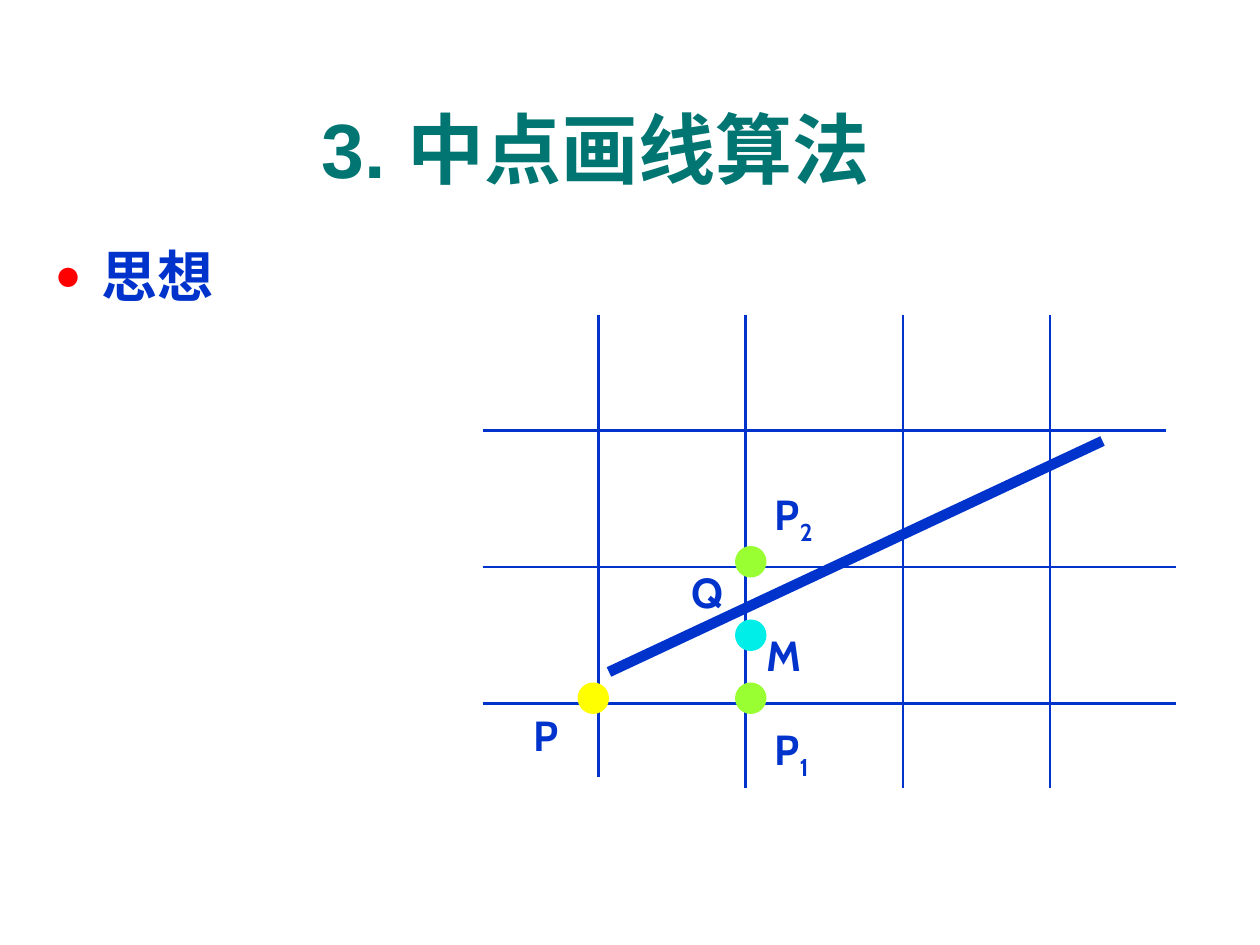
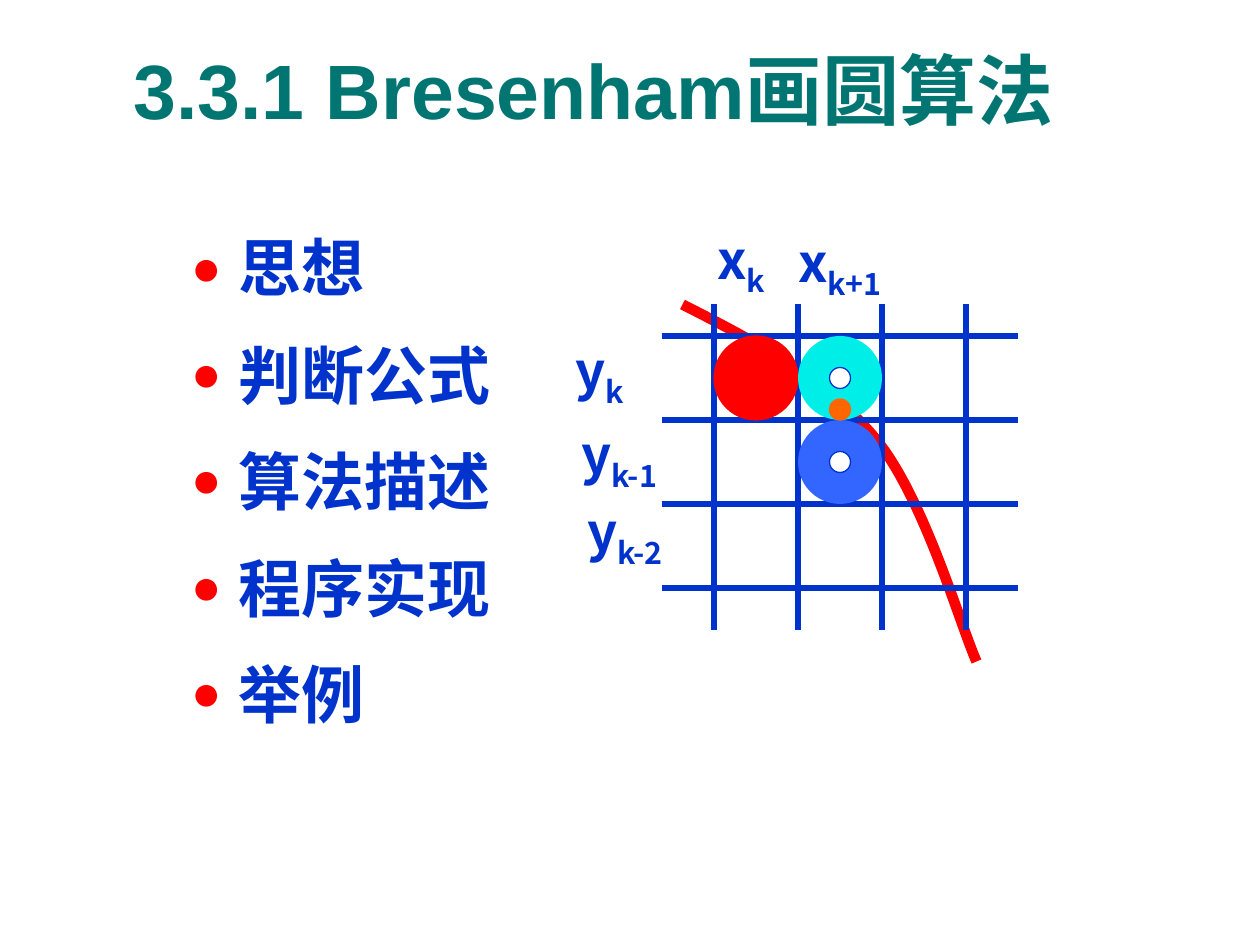
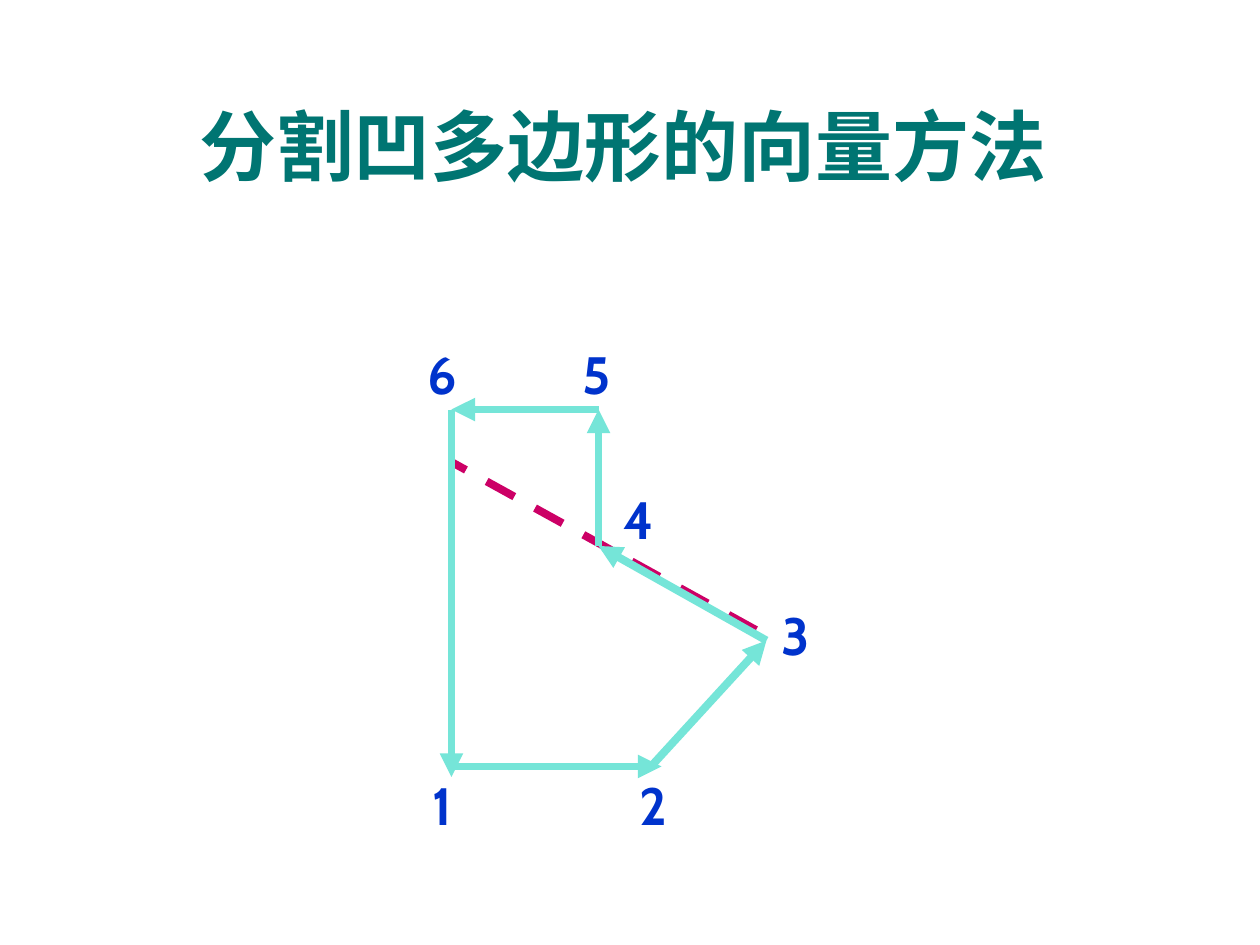
import lxml.etree
import pptx
import pptx.dml.color
import pptx.enum.dml
import pptx.enum.shapes
import pptx.enum.text
import pptx.oxml
import pptx.oxml.ns
import pptx.util

COLORS = {
    "title": "007572", "ink": "0033CC", "bullet": "FF0000", "red": "FF0000",
    "yellow": "FFFF00", "lime": "99FF33", "cyan": "00EEE8", "blue": "3366FF",
    "white": "FFFFFF", "orange": "FF6600", "magenta": "CC0066", "aqua": "75E5D8",
}
COLUMNS, ROWS = 120, 90
TITLE_ONLY, TITLE_AND_BODY = 5, 1
INDENT = pptx.util.Inches(0.375)


def rgb(name):
    return pptx.dml.color.RGBColor.from_string(COLORS[name])


def add_xml(parent, tag, **attributes):
    name = pptx.oxml.ns.qn(tag)
    return lxml.etree.SubElement(parent, name, attributes)


class Builder:
    """Draws on the current slide; every length is in grid columns or rows."""

    def __init__(self):
        self.deck = pptx.Presentation()
        self.deck.slide_width = pptx.util.Inches(10)
        self.deck.slide_height = pptx.util.Inches(7.5)
        self.cell = self.deck.slide_width / COLUMNS
        self.slide = None

    def grid(self, *lengths):
        return [round(length * self.cell) for length in lengths]

    def place(self, shape, area):
        shape.left, shape.top, shape.width, shape.height = self.grid(*area)

    def style(self, para, size, color, font):
        para.font.size = pptx.util.Pt(size)
        para.font.bold = True
        para.font.name = font
        para.font.color.rgb = rgb(color)

    def outline(self, line, color, width):
        line.color.rgb = rgb(color)
        line.width = pptx.util.Pt(width)

    def page(self, layout, title, area, align=pptx.enum.text.PP_ALIGN.CENTER):
        self.slide = self.deck.slides.add_slide(self.deck.slide_layouts[layout])
        box = self.slide.shapes.title
        self.place(box, area)
        frame = box.text_frame
        frame.text = title
        frame.auto_size = pptx.enum.text.MSO_AUTO_SIZE.NONE
        frame.vertical_anchor = pptx.enum.text.MSO_ANCHOR.MIDDLE
        para = frame.paragraphs[0]
        para.alignment = align
        self.style(para, 44, "title", "Arial")

    def bullets(self, items, area, size, gap):
        """Fill the body from (text, line spacing, font) items."""
        box = self.slide.placeholders[1]
        self.place(box, area)
        frame = box.text_frame
        frame.auto_size = pptx.enum.text.MSO_AUTO_SIZE.NONE
        frame.text = "\n".join(text for text, _, _ in items)
        for index, (para, item) in enumerate(zip(frame.paragraphs, items)):
            _, spacing, font = item
            properties = para._p.get_or_add_pPr()
            properties.set("marL", str(INDENT))
            properties.set("indent", str(-INDENT))
            bullet_color = add_xml(properties, "a:buClr")
            add_xml(bullet_color, "a:srgbClr", val=COLORS["bullet"])
            add_xml(properties, "a:buSzPct", val="80000")
            add_xml(properties, "a:buChar", char="●")
            para.line_spacing = spacing
            para.space_before = pptx.util.Pt(gap if index else 0)
            self.style(para, size, "ink", font)

    def line(self, start, end, color="ink", width=1.5, arrow=False, dashed=False):
        line = self.slide.shapes.add_connector(
            pptx.enum.shapes.MSO_CONNECTOR.STRAIGHT, *self.grid(*start, *end))
        self.outline(line.line, color, width)
        if dashed:
            line.line.dash_style = pptx.enum.dml.MSO_LINE.DASH
        if arrow:
            add_xml(line.line._get_or_add_ln(), "a:tailEnd", type="triangle")
        add_xml(line._element.spPr, "a:effectLst")

    def circle(self, center, diameter, fill, edge=None):
        column, row = center
        corner = column - diameter / 2, row - diameter / 2
        disc = self.slide.shapes.add_shape(
            pptx.enum.shapes.MSO_SHAPE.OVAL, *self.grid(*corner, diameter, diameter))
        disc.shadow.inherit = False
        disc.fill.solid()
        disc.fill.fore_color.rgb = rgb(fill)
        if edge:
            self.outline(disc.line, edge, 0.75)
        else:
            disc.line.fill.background()

    def curve(self, start, points, color, width):
        """Draw cubic Bézier pieces, each given by three successive points."""
        builder = self.slide.shapes.build_freeform(*self.grid(*start))
        builder.add_line_segments([self.grid(*point) for point in points], close=False)
        curve = builder.convert_to_shape()
        curve.shadow.inherit = False
        curve.fill.background()
        self.outline(curve.line, color, width)
        segments = list(curve._element.iter(pptx.oxml.ns.qn("a:lnTo")))
        outline = segments[0].getparent()
        for first in range(0, len(segments), 3):
            piece = add_xml(outline, "a:cubicBezTo")
            for segment in segments[first:first + 3]:
                piece.append(segment[0])
                outline.remove(segment)

    def label(self, center, size, text, subscript="", font="Cabin", points=30, spacing=None):
        """Centre a short text, with an optional subscript, on a grid point."""
        (column, row), (width, height) = center, size
        box = self.slide.shapes.add_textbox(
            *self.grid(column - width / 2, row - height / 2, width, height))
        frame = box.text_frame
        frame.word_wrap = False
        frame.vertical_anchor = pptx.enum.text.MSO_ANCHOR.MIDDLE
        frame.margin_left = frame.margin_right = 0
        frame.margin_top = frame.margin_bottom = 0
        para = frame.paragraphs[0]
        para.alignment = pptx.enum.text.PP_ALIGN.CENTER
        para.line_spacing = spacing
        self.style(para, points, "ink", font)
        para.add_run().text = text
        if subscript:
            span = para.add_run()
            span.text = subscript
            span._r.get_or_add_rPr().set("baseline", "-25000")


def midpoint_line(builder):
    builder.page(TITLE_AND_BODY, "3. 中点画线算法", (11.8, 9.1, 89.9, 10))
    builder.bullets([("思想", 1.2, "Arial")], (4, 21.1, 31.3, 8.9), size=32, gap=8)
    for row, right in ((41, 111), (54, 112), (67, 112)):
        builder.line((46, row), (right, row))
    for column, bottom in ((57, 74), (71, 75), (86, 75), (100, 75)):
        builder.line((column, 30), (column, bottom))
    builder.line((58, 64), (105, 42), width=6)
    for center, fill in (((56.5, 66.5), "yellow"), ((71.5, 53.5), "lime"),
                         ((71.5, 66.5), "lime"), ((71.5, 60.5), "cyan")):
        builder.circle(center, 3, fill)
    for center, size, text, subscript, spacing in (
            ((74.7, 62.4), (3.7, 4.8), "M", "", None),
            ((52, 70), (2.5, 4.8), "P", "", None),
            ((75.4, 71.1), (3.8, 6.6), "P", "1", 1.2),
            ((75.6, 48.2), (4.8, 7.7), "P", "2", 1.4),
            ((67.4, 56.4), (3.2, 4.8), "Q", "", None)):
        builder.label(center, size, text, subscript, points=24, spacing=spacing)


def bresenham_circle(builder):
    builder.page(TITLE_AND_BODY, "3.3.1 Bresenham画圆算法", (11.5, 3.4, 108.5, 10),
                 pptx.enum.text.PP_ALIGN.LEFT)
    topics = [("思想", 0.9, "Arial"), ("判断公式", 1.2, "Montserrat"),
              ("算法描述", 1.2, "Montserrat"), ("程序实现", 1.2, "Montserrat"),
              ("举例", 1.2, "Arial")]
    builder.bullets(topics, (17, 22, 37, 48.2), size=36, gap=9)
    arc = [(71.9, 32.5), (78.7, 36.1), (83.4, 41.8), (88, 47.4), (91.4, 59.4), (93, 63)]
    builder.curve((65, 29), arc, "red", 6)
    pixel = 8
    for step in range(4):
        row, column = 32 + step * pixel, 68 + step * pixel
        builder.line((63, row), (97, row), width=3)
        builder.line((column, 29), (column, 60), width=3)
    for center, size, text, subscript, spacing in (
            ((70.6, 25), (7.3, 6.8), "x", "k", None),
            ((80, 25.3), (11.9, 6.8), "x", "k+1", None),
            ((57.1, 35.6), (6.2, 6.8), "y", "k", None),
            ((59, 43.6), (10.1, 6.8), "y", "k-1", None),
            ((59.5, 50.6), (11, 7.6), "y", "k-2", 1.1)):
        builder.label(center, size, text, subscript, "Noto Sans CJK SC", spacing=spacing)
    for center, diameter, fill, edge in (
            ((72, 36), pixel, "red", "red"), ((80, 36), pixel, "cyan", None),
            ((80, 44), pixel, "blue", None), ((80, 36), 2, "white", "ink"),
            ((80, 44), 2, "white", "ink"), ((80, 39), 2, "orange", "orange")):
        builder.circle(center, diameter, fill, edge)


def concave_polygon(builder):
    builder.page(TITLE_ONLY, "分割凹多边形的向量方法", (13.7, 8.8, 91.3, 10))
    builder.line((72, 60), (43, 44), "magenta", 4.5, dashed=True)
    for start, end in (((43, 39), (43, 74)), ((43, 73), (63, 73)),
                       ((62, 73), (73, 61)), ((73, 61), (57, 52)),
                       ((57, 52), (57, 39)), ((57, 39), (43, 39))):
        builder.line(start, end, "aqua", 4.5, arrow=True)
    corners = ((42.1, 76.6), (62.2, 76.6), (75.8, 60.4),
               (60.8, 49.4), (56.8, 35.6), (42.1, 35.6))
    for number, center in enumerate(corners, start=1):
        builder.label(center, (5.3, 7.2), str(number))


def main():
    builder = Builder()
    for draw in (midpoint_line, bresenham_circle, concave_polygon):
        draw(builder)
    builder.deck.save("out.pptx")


if __name__ == "__main__":
    main()
